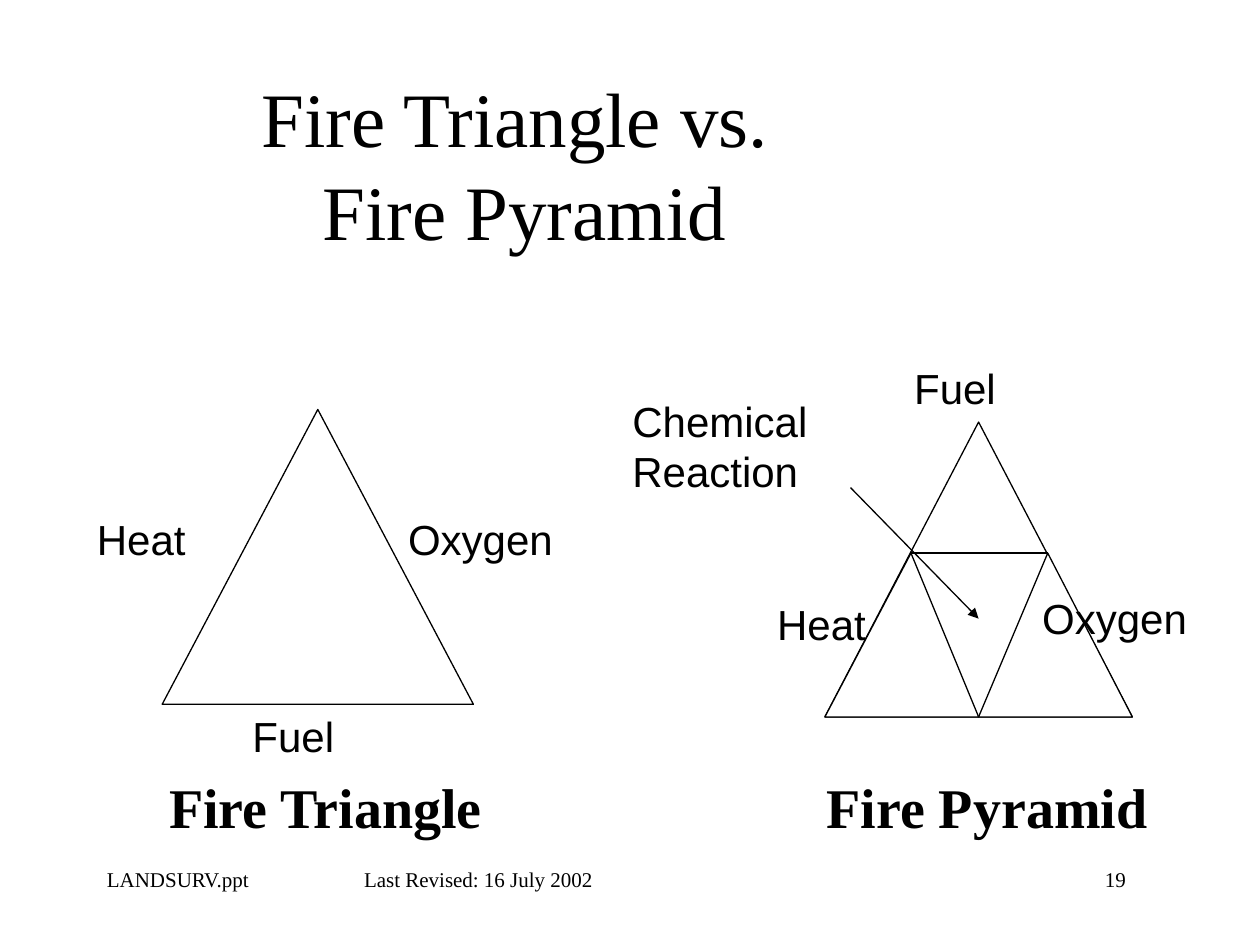
from lxml import etree
from pptx import Presentation
from pptx.dml.color import RGBColor
from pptx.enum.shapes import MSO_CONNECTOR, MSO_SHAPE
from pptx.enum.text import MSO_ANCHOR, MSO_AUTO_SIZE, PP_ALIGN
from pptx.oxml.ns import qn
from pptx.util import Inches, Pt

STRAIGHT = MSO_CONNECTOR.STRAIGHT
TRIANGLE = MSO_SHAPE.ISOSCELES_TRIANGLE
TOP, MIDDLE = MSO_ANCHOR.TOP, MSO_ANCHOR.MIDDLE
NO_FIT = MSO_AUTO_SIZE.NONE
LEFT, CENTER = PP_ALIGN.LEFT, PP_ALIGN.CENTER

COLORS = {"ink": "000000", "paper": "FFFFFF"}
SERIF, SANS = "Times New Roman", "Arial"


def rgb(name):
    return RGBColor.from_string(COLORS[name])


class Grid:
    def __init__(self, left, top, col, row):
        self.left, self.top, self.col, self.row = left, top, col, row

    def point(self, col, row):
        return Inches(self.left + col * self.col), Inches(self.top + row * self.row)

    def box(self, col, row, cols, rows):
        return *self.point(col, row), Inches(cols * self.col), Inches(rows * self.row)


INCH = Grid(0, 0, 1, 1)


def write(s, text, size=24, font=SANS, bold=False, align=LEFT, anchor=TOP, tab=None):
    tf = s.text_frame
    tf.word_wrap = True
    tf.auto_size = NO_FIT
    tf.vertical_anchor = anchor
    for i, line in enumerate(text.split("\n")):
        p = tf.paragraphs[0] if i == 0 else tf.add_paragraph()
        p.text = line
        p.alignment = align
        if tab:
            tabs = etree.SubElement(p._p.get_or_add_pPr(), qn("a:tabLst"))
            etree.SubElement(tabs, qn("a:tab"), pos=str(Inches(tab)), algn="l")
        for r in p.runs:
            r.font.name = font
            r.font.size = Pt(size)
            r.font.bold = bold
            r.font.color.rgb = rgb("ink")


def add_label(shapes, box, text, **fmt):
    write(shapes.add_textbox(*box), text, **fmt)


def set_line(s):
    s.line.color.rgb = rgb("ink")
    s.line.width = Pt(0.75)


def add_triangle(shapes, box, apex=0.5):
    s = shapes.add_shape(TRIANGLE, *box)
    s.adjustments[0] = apex
    s.shadow.inherit = False
    s.fill.solid()
    s.fill.fore_color.rgb = rgb("paper")
    set_line(s)


def add_line(shapes, start, end, arrow=False):
    s = shapes.add_connector(STRAIGHT, *start, *end)
    set_line(s)
    etree.SubElement(s._element.spPr, qn("a:effectLst"))
    if arrow:
        etree.SubElement(s.line._get_or_add_ln(), qn("a:tailEnd"), type="triangle")


def add_title(slide, text):
    s = slide.shapes.title
    s.left, s.top, s.width, s.height = INCH.box(0.75, 0.67, 6.83, 1.25)
    write(s, text, size=44, font=SERIF, align=CENTER, anchor=MIDDLE)


def add_fire_triangle(slide):
    grid = Grid(0.67, 3.25, 2.47 / 4, 2.34 / 3)
    shapes = slide.shapes.add_group_shape().shapes
    add_triangle(shapes, grid.box(1, 0, 4, 3))
    for text, col, row, cols in (("Heat", 0, 1, 2), ("Oxygen", 4, 1, 3), ("Fuel", 2, 3, 2)):
        add_label(shapes, grid.box(col, row, cols, 1), text)


def add_fire_pyramid(slide):
    grid = Grid(4.92, 2.83, 2.44 / 12, 2.34 / 9)
    shapes = slide.shapes.add_group_shape().shapes
    add_triangle(shapes, grid.box(8, 2, 12, 9))
    for col, apex in ((8, 0.56), (14, 0.45)):
        add_triangle(shapes, grid.box(col, 6, 6, 5), apex)
    add_line(shapes, grid.point(11.33, 6), grid.point(16.7, 6))
    add_label(shapes, grid.box(0, 1, 10, 5), "Chemical\nReaction")
    add_label(shapes, grid.box(11, 0, 6, 3), "Fuel")
    add_line(shapes, grid.point(9, 4), grid.point(14, 8), arrow=True)
    add_label(shapes, grid.box(16, 7, 9, 3), "Oxygen")
    add_label(shapes, grid.box(5.65, 7.2, 6, 3), "Heat")


def main():
    prs = Presentation()
    prs.slide_width, prs.slide_height = Inches(10), Inches(7.5)
    slide = prs.slides.add_slide(prs.slide_layouts[5])
    add_label(slide.shapes, INCH.box(8.67, 6.83, 0.75, 0.3), "19", size=12, font=SERIF)
    add_label(slide.shapes, INCH.box(0.75, 6.83, 5.75, 0.3),
              "LANDSURV.ppt \t Last Revised: 16 July 2002", size=12, font=SERIF, tab=2)
    add_title(slide, "Fire Triangle vs. \vFire Pyramid")
    add_fire_triangle(slide)
    add_fire_pyramid(slide)
    for left, text in ((0.42, "Fire Triangle"), (5.67, "Fire Pyramid")):
        add_label(slide.shapes, INCH.box(left, 6.08, 4.33, 0.64), text,
                  size=32, font=SERIF, bold=True, align=CENTER)
    prs.save("out.pptx")


if __name__ == "__main__":
    main()
